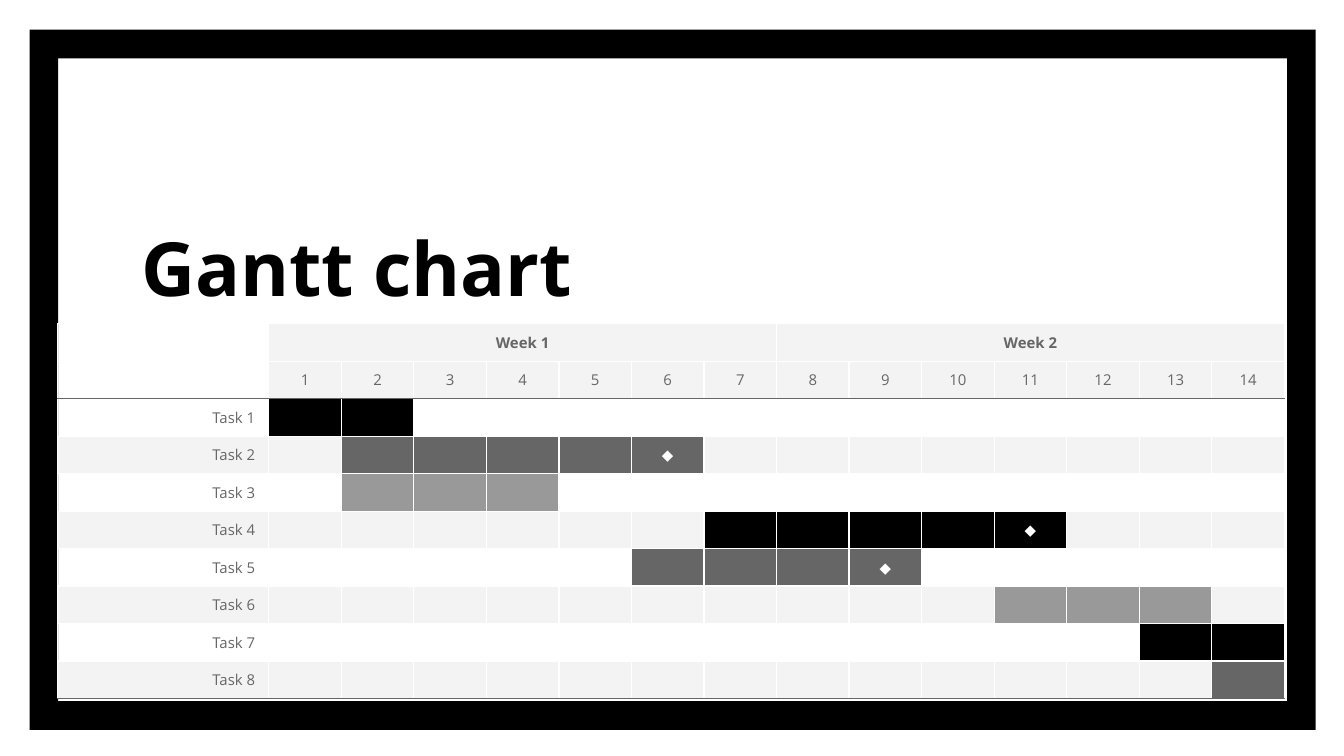
from lxml import etree
from pptx import Presentation
from pptx import util as u
from pptx.dml.color import RGBColor
from pptx.enum import shapes, text
from pptx.oxml import ns

FONT = "Open Sans"
BLACK, DARK, MID, LIGHT, WHITE = "000000", "666666", "999999", "F3F3F3", "FFFFFF"
DAYS, DAYS_PER_WEEK = 14, 7

# Task bars: first day, last day, colour, whether a milestone ends the bar
TASKS = [
    (1, 2, BLACK, False),
    (2, 6, DARK, True),
    (2, 4, MID, False),
    (7, 11, BLACK, True),
    (6, 9, DARK, True),
    (11, 13, MID, False),
    (13, 14, BLACK, False),
    (14, 14, DARK, False),
]


def rgb(value):
    return RGBColor.from_string(value)


def format_cell(cell, label="", fill=None, align="CENTER", color=DARK, bold=False,
                top=WHITE, bottom=WHITE):
    cell.vertical_anchor = text.MSO_ANCHOR.MIDDLE
    if fill:
        cell.fill.solid()
        cell.fill.fore_color.rgb = rgb(fill)
    else:
        cell.fill.background()

    # Borders come before the fill in the cell properties
    properties = cell._tc.get_or_add_tcPr()
    borders = [("a:lnL", WHITE), ("a:lnR", WHITE), ("a:lnT", top), ("a:lnB", bottom)]
    for position, (tag, border_color) in enumerate(borders):
        line = etree.Element(ns.qn(tag), w=str(u.Pt(0.75)))
        solid = etree.SubElement(line, ns.qn("a:solidFill"))
        etree.SubElement(solid, ns.qn("a:srgbClr"), val=border_color)
        properties.insert(position, line)

    paragraph = cell.text_frame.paragraphs[0]
    paragraph.alignment = getattr(text.PP_ALIGN, align)
    if label:
        paragraph.text = label
        font = paragraph.runs[0].font
        font.name, font.size, font.bold = FONT, u.Pt(8), bold
        font.color.rgb = rgb(color)
    else:
        # Small type in empty cells keeps the rows low
        end = etree.SubElement(paragraph._p, ns.qn("a:endParaRPr"), sz="800")
        etree.SubElement(end, ns.qn("a:latin"), typeface=FONT)


# Widescreen slide, 16 to 9
presentation = Presentation()
presentation.slide_width = u.Inches(10)
presentation.slide_height = u.Inches(10 * 9 / 16)
slide = presentation.slides.add_slide(presentation.slide_layouts[5])

# Black frame, behind everything else
frame = slide.shapes.add_shape(shapes.MSO_SHAPE.FRAME, u.Inches(0.22), u.Inches(0.22),
                               u.Inches(9.57), u.Inches(5.21))
frame.adjustments[0] = 0.041
frame.shadow.inherit = False
frame.fill.solid()
frame.fill.fore_color.rgb = rgb(BLACK)
frame.line.fill.background()
slide.shapes._spTree.insert(2, frame._element)

# Title
title = slide.shapes.title
title.left, title.top = u.Inches(0.95), u.Inches(0.93)
title.width, title.height = u.Inches(5.57), u.Inches(1.49)
title_frame = title.text_frame
title_frame.text = "Gantt chart"
title_frame.word_wrap = True
title_frame.auto_size = text.MSO_AUTO_SIZE.NONE
title_frame.vertical_anchor = text.MSO_ANCHOR.BOTTOM
title_frame.margin_left = title_frame.margin_right = u.Inches(0.1)
title_frame.margin_top = title_frame.margin_bottom = u.Inches(0.1)
paragraph = title_frame.paragraphs[0]
paragraph.alignment = text.PP_ALIGN.LEFT
font = paragraph.runs[0].font
font.name, font.size, font.bold = FONT, u.Pt(40), True
font.color.rgb = rgb(BLACK)

# Gantt table: two header rows, then one row per task
row_count = len(TASKS) + 2
table = slide.shapes.add_table(row_count, DAYS + 1, u.Inches(0.43), u.Inches(2.41),
                               u.Inches(9.13), u.Inches(2.79)).table
table.first_row = table.horz_banding = False
table.columns[0].width = u.Inches(1.57)
for day in range(1, DAYS + 1):
    table.columns[day].width = u.Inches((9.13 - 1.57) / DAYS)
for row in table.rows:
    row.height = u.Inches(2.79 / row_count)

# Header rows: weeks above days
format_cell(table.cell(0, 0))
format_cell(table.cell(1, 0), bottom=DARK)
for day in range(1, DAYS + 1):
    week, offset = divmod(day - 1, DAYS_PER_WEEK)
    week_label = f"Week {week + 1}" if offset == 0 else ""
    format_cell(table.cell(0, day), week_label, LIGHT, bold=True)
    format_cell(table.cell(1, day), str(day), LIGHT, bottom=DARK)
for first in range(1, DAYS + 1, DAYS_PER_WEEK):
    table.cell(0, first).merge(table.cell(0, first + DAYS_PER_WEEK - 1))

# Task rows, every second one shaded
for number, (start, end, color, milestone) in enumerate(TASKS, 1):
    row = number + 1
    band = LIGHT if number % 2 == 0 else None
    edges = {"top": DARK if number == 1 else WHITE,
             "bottom": DARK if number == len(TASKS) else WHITE}
    format_cell(table.cell(row, 0), f"Task {number}", band, "RIGHT", **edges)
    for day in range(1, DAYS + 1):
        fill = color if start <= day <= end else band
        mark = "◆" if milestone and day == end else ""
        format_cell(table.cell(row, day), mark, fill, color=WHITE, **edges)

presentation.save("out.pptx")
